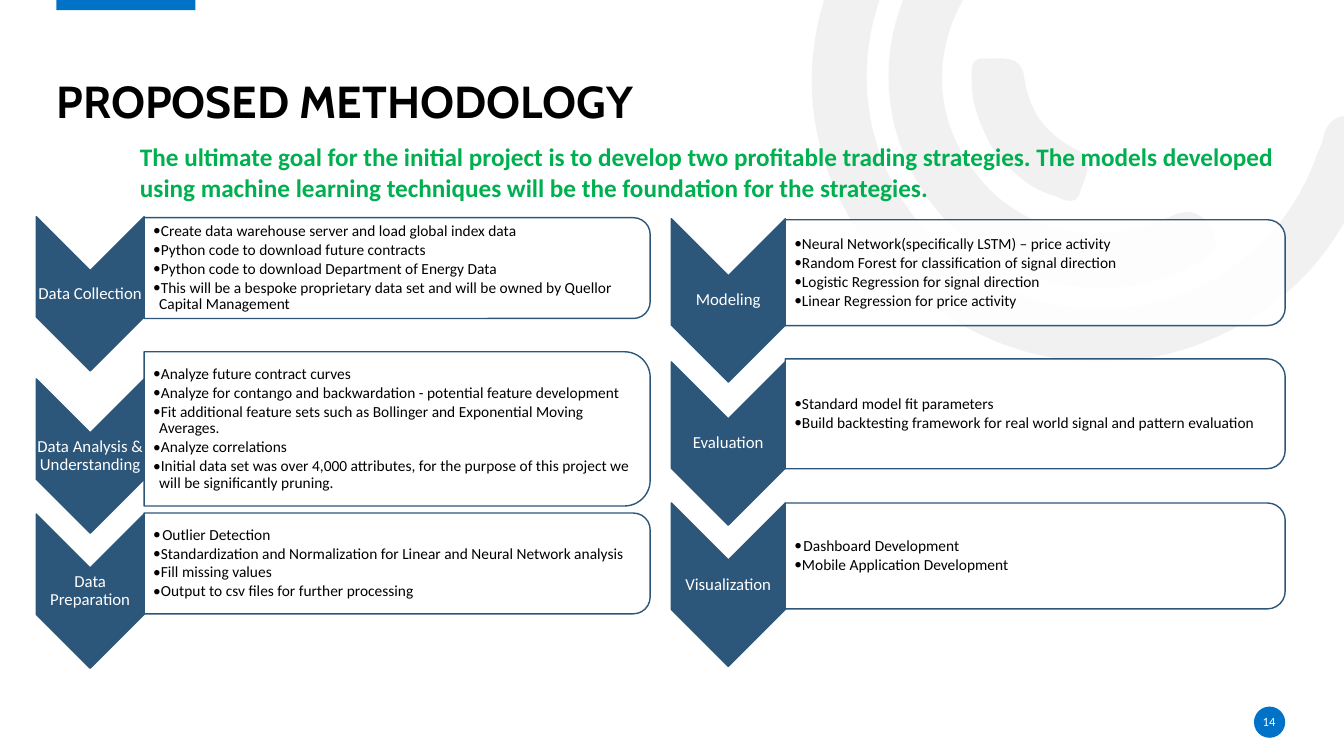
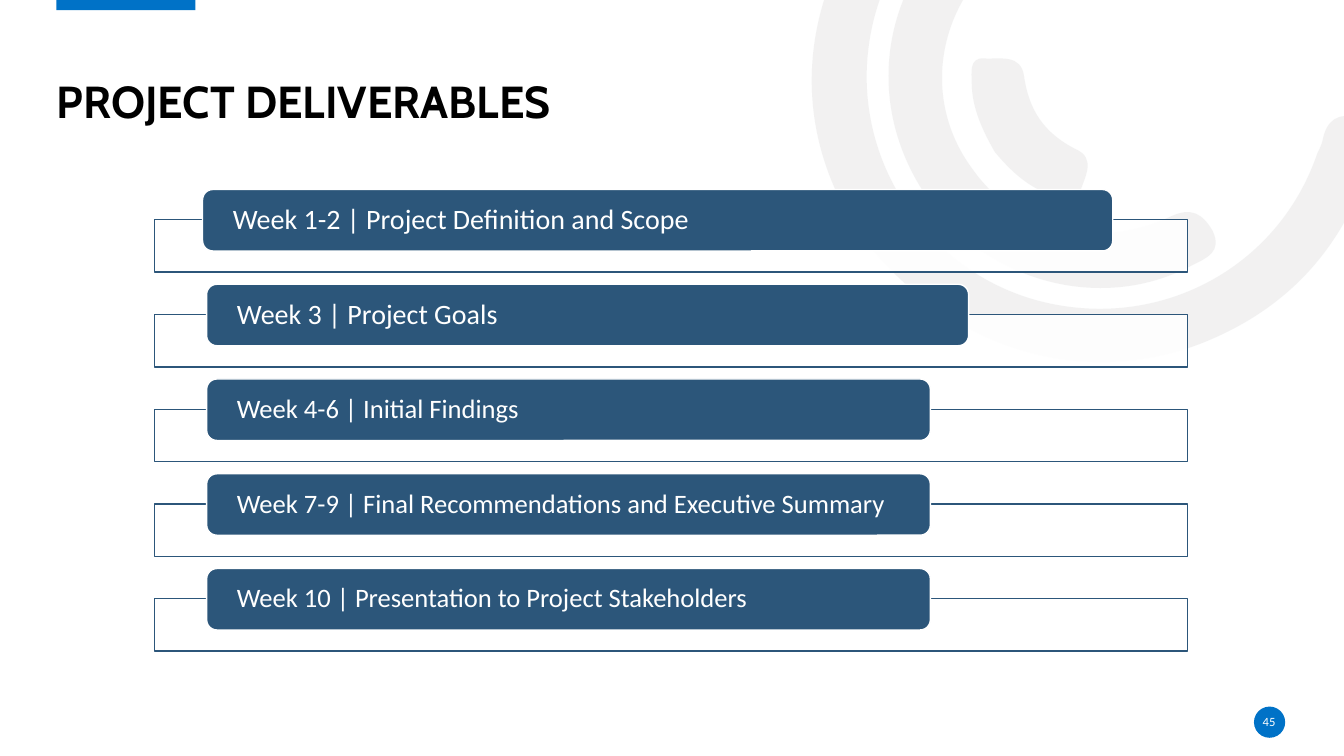
from lxml.etree import SubElement
from pptx import Presentation
from pptx.dml.color import RGBColor
from pptx.enum.shapes import MSO_SHAPE as Kind
from pptx.enum.text import MSO_ANCHOR as Anchor, MSO_AUTO_SIZE as Fit, PP_ALIGN as Align
from pptx.oxml.ns import qn
from pptx.util import Inches, Pt

# Colours and fonts
BLUE = RGBColor(0x00, 0x72, 0xC7)
NAVY = RGBColor(0x2C, 0x56, 0x7A)
GREEN = RGBColor(0x00, 0xB0, 0x50)
GREY = RGBColor(0xE7, 0xE6, 0xE6)
WHITE = RGBColor(0xFF, 0xFF, 0xFF)
BLACK = RGBColor(0x00, 0x00, 0x00)
HEAD, BODY = "Cabin", "Calibri"

# Content: methodology
GOAL = ("The ultimate goal for the initial project is to develop two profitable "
        "trading strategies. The models developed using machine learning "
        "techniques will be the foundation for the strategies.")
# Each step: label, chevron top, panel top, panel height, points
LEFT = [
    ("Data Collection", 2.15, 2.16, 1, [
        "Create data warehouse server and load global index data",
        "Python code to download future contracts",
        "Python code to download Department of Energy Data",
        "This will be a bespoke proprietary data set and will be owned by "
        "Quellor Capital Management"]),
    ("Data Analysis & Understanding", 3.76, 3.49, 1.53, [
        "Analyze future contract curves",
        "Analyze for contango and backwardation - potential feature development",
        "Fit additional feature sets such as Bollinger and Exponential Moving Averages.",
        "Analyze correlations",
        "Initial data set was over 4,000 attributes, for the purpose of this "
        "project we will be significantly pruning."]),
    ("Data Preparation", 5.1, 5.09, 1, [
        "Outlier Detection",
        "Standardization and Normalization for Linear and Neural Network analysis",
        "Fill missing values",
        "Output to csv files for further processing"]),
]
RIGHT = [
    ("Modeling", 2.17, 2.18, 1.05, [
        "Neural Network(specifically LSTM) – price activity",
        "Random Forest for classification of signal direction",
        "Logistic Regression for signal direction",
        "Linear Regression for price activity"]),
    ("Evaluation", 3.59, 3.56, 1.09, [
        "Standard model fit parameters",
        "Build backtesting framework for real world signal and pattern evaluation"]),
    ("Visualization", 4.99, 4.99, 1.05, [
        "Dashboard Development",
        "Mobile Application Development"]),
]
# Each column: left, chevron width, chevron height, panel width, steps
COLUMNS = [(0.36, 1.07, 1.53, 5.02, LEFT), (6.66, 1.13, 1.62, 4.96, RIGHT)]
WIDE = {"Outlier Detection", "Dashboard Development"}  # points set further in

# Content: deliverables (text, bar left, bar width, size)
WEEKS = [
    ("Week 1-2 | Project Definition and Scope", 2.01, 9.03, 20),
    ("Week 3 | Project Goals", 2.05, 7.56, 20),
    ("Week 4-6 | Initial Findings", 2.05, 7.18, 19),
    ("Week 7-9 | Final Recommendations and Executive Summary", 2.05, 7.18, 19),
    ("Week 10 | Presentation to Project Stakeholders", 2.05, 7.18, 19),
]

# Backdrop arcs: a start point, then curves of two handles and an end
ARCS = [
    ((8.51, 2.29), [
        (7.99, 1.49, 7.87, 0.5, 8.38, -0.5), (8.9, -1.52, 9.76, -2.03, 10.9, -2.07),
        (11.05, -2.07, 11.21, -2.1, 11.31, -1.95), (11.44, -1.75, 11.27, -1.54, 10.98, -1.54),
        (9.67, -1.54, 8.65, -0.59, 8.6, 0.68), (8.56, 1.81, 9.36, 2.81, 10.46, 3.02),
        (11.6, 3.24, 12.7, 2.61, 13.07, 1.52), (13.09, 1.48, 13.11, 1.44, 13.12, 1.4),
        (13.16, 1.19, 13.27, 1.11, 13.49, 1.17), (13.73, 1.24, 13.67, 1.41, 13.61, 1.56),
        (13.34, 2.45, 12.78, 3.07, 11.91, 3.41), (10.7, 3.87, 9.36, 3.45, 8.51, 2.29)]),
    ((9.22, 1.99), [
        (8.62, 1.15, 8.69, 0.07, 9.4, -0.68), (9.51, -0.79, 9.62, -0.95, 9.8, -0.78),
        (9.95, -0.64, 9.97, -0.5, 9.79, -0.32), (9.25, 0.26, 9.2, 1.08, 9.65, 1.68),
        (10.08, 2.29, 10.88, 2.49, 11.61, 2.15), (11.82, 2.05, 11.93, 2.12, 12.03, 2.29),
        (12.13, 2.5, 11.97, 2.56, 11.83, 2.63), (10.96, 3.1, 9.83, 2.82, 9.22, 1.99)]),
    ((9.87, 1.51), [
        (9.75, 1.3, 9.64, 1.07, 9.64, 0.82), (9.64, 0.73, 9.61, 0.57, 9.76, 0.58),
        (9.92, 0.59, 10.13, 0.53, 10.16, 0.76), (10.21, 1.1, 10.36, 1.32, 10.67, 1.48),
        (10.88, 1.57, 10.76, 1.76, 10.72, 1.89), (10.68, 2.06, 10.55, 1.98, 10.45, 1.94),
        (10.21, 1.87, 10.03, 1.7, 9.87, 1.51)]),
]


# Drawing helpers
def paint(shape, fill, line=None, alpha=None):
    shape.shadow.inherit = False
    shape.fill.solid()
    shape.fill.fore_color.rgb = fill
    if alpha:
        tint = shape.element.spPr.find(".//" + qn("a:srgbClr"))
        SubElement(tint, qn("a:alpha"), val=str(alpha * 1000))
    if line is None:
        shape.line.fill.background()
    else:
        shape.line.color.rgb = line
        shape.line.width = Pt(1)
    return shape


def box(slide, kind, x, y, w, h, fill, line=None, alpha=None):
    shape = slide.shapes.add_shape(kind, *map(Inches, (x, y, w, h)))
    return paint(shape, fill, line, alpha)


def turn(slide, kind, x, y, w, h, *look):
    """Shape turned a quarter that covers the given area."""
    shape = box(slide, kind, x + (w - h) / 2, y + (h - w) / 2, h, w, *look)
    shape.rotation = 90


def style(para, size, color, font=BODY, bold=False, align=Align.LEFT, lead=0.9):
    para.alignment = align
    para.line_spacing = lead
    para.font.size = Pt(size)
    para.font.name = font
    para.font.bold = bold
    para.font.color.rgb = color


def inset(frame, left, top, right, low, anchor=Anchor.MIDDLE):
    frame.word_wrap = True
    frame.vertical_anchor = anchor
    frame.margin_left, frame.margin_top = Inches(left), Inches(top)
    frame.margin_right, frame.margin_bottom = Inches(right), Inches(low)


def label(slide, area, text, size, color, pad=(0, 0, 0, 0), **look):
    frame = slide.shapes.add_textbox(*map(Inches, area)).text_frame
    inset(frame, *pad)
    frame.text = text
    style(frame.paragraphs[0], size, color, **look)


def points(slide, area, items):
    frame = slide.shapes.add_textbox(*map(Inches, area)).text_frame
    inset(frame, 0.09, 0.01, 0.01, 0.01)
    frame.text = "\n".join(items)
    for para, item in zip(frame.paragraphs, items):
        indent = Inches(0.09 if item in WIDE else 0.06)
        props = para._p.get_or_add_pPr()
        props.set("marL", str(indent))
        props.set("indent", str(-indent))
        SubElement(props, qn("a:buFont"), typeface=BODY)
        SubElement(props, qn("a:buChar"), char="••")
        para.space_after = Pt(1.65)
        style(para, 11, BLACK)


def arc(slide, start, curves):
    """Outline through the curve ends, each side then bent by its handles."""
    pen = slide.shapes.build_freeform(*map(Inches, start))
    pen.add_line_segments([(Inches(c[4]), Inches(c[5])) for c in curves])
    shape = pen.convert_to_shape()
    sides = list(shape.element.iter(qn("a:lnTo")))
    for side, curve in zip(sides, curves):
        bend = side.makeelement(qn("a:cubicBezTo"), {})
        for x, y in zip(curve[::2], curve[1::2]):
            SubElement(bend, qn("a:pt"), x=str(Inches(x) - shape.left),
                       y=str(Inches(y) - shape.top))
        side.getparent().replace(side, bend)
    return paint(shape, GREY, alpha=53)


# Shared look, kept on the layout
def dress(layout, slide):
    parts = [arc(slide, *item) for item in ARCS]
    parts.append(box(slide, Kind.RECTANGLE, 0.56, -0.02, 1.38, 0.12, BLUE))
    parts.append(box(slide, Kind.OVAL, 12.44, 7.01, 0.31, 0.31, BLUE))
    for part in parts:
        layout.shapes.element.append(part.element)


def begin(slide, title, number):
    head = slide.shapes.title
    head.left, head.top, head.width, head.height = map(Inches, (0.56, 0.26, 12.19, 1.01))
    frame = head.text_frame
    inset(frame, 0, 0, 0, 0, Anchor.BOTTOM)
    frame.auto_size = Fit.NONE
    frame.text = title
    style(frame.paragraphs[0], 32, BLACK, HEAD, True)
    label(slide, (12.43, 7.06, 0.32, 0.2), number, 9, WHITE, align=Align.CENTER, lead=1)


# Slides
def method(slide):
    begin(slide, "PROPOSED METHODOLOGY", "14")
    for x, w, h, wide, steps in COLUMNS:
        for name, top, y, high, items in steps:
            turn(slide, Kind.CHEVRON, x, top, w, h, NAVY, NAVY)
            label(slide, (x, top + h * 0.35, w, h * 0.3), name, 12, WHITE,
                  (0.01,) * 4, align=Align.CENTER)
            turn(slide, Kind.ROUND_2_SAME_RECTANGLE, x + w, y, wide, high, WHITE, NAVY, 90)
            points(slide, (x + w, y + 0.05, wide - 0.06, high - 0.1), items)
    label(slide, (1.29, 1.35, 11.61, 0.71), GOAL, 18, GREEN,
          (0.1, 0.05, 0.1, 0.05), bold=True, lead=1)


def plan(slide):
    begin(slide, "PROJECT DELIVERABLES", "45")
    for i, (text, x, w, size) in enumerate(WEEKS):
        y = 1.88 + i * 0.94
        box(slide, Kind.RECTANGLE, 1.53, y + 0.3, 10.25, 0.52, WHITE, NAVY, 90)
        bar = box(slide, Kind.ROUNDED_RECTANGLE, x, y, w, 0.61, NAVY, WHITE)
        inset(bar.text_frame, 0.27, 0, 0.27, 0)
        bar.text_frame.text = text
        style(bar.text_frame.paragraphs[0], size, WHITE)


def main():
    deck = Presentation()
    deck.slide_width, deck.slide_height = Inches(40) // 3, Inches(7.5)
    layout = deck.slide_layouts.get_by_name("Title Only")
    first, second = (deck.slides.add_slide(layout) for _ in range(2))
    dress(layout, first)
    method(first)
    plan(second)
    deck.save("out.pptx")


if __name__ == "__main__":
    main()
